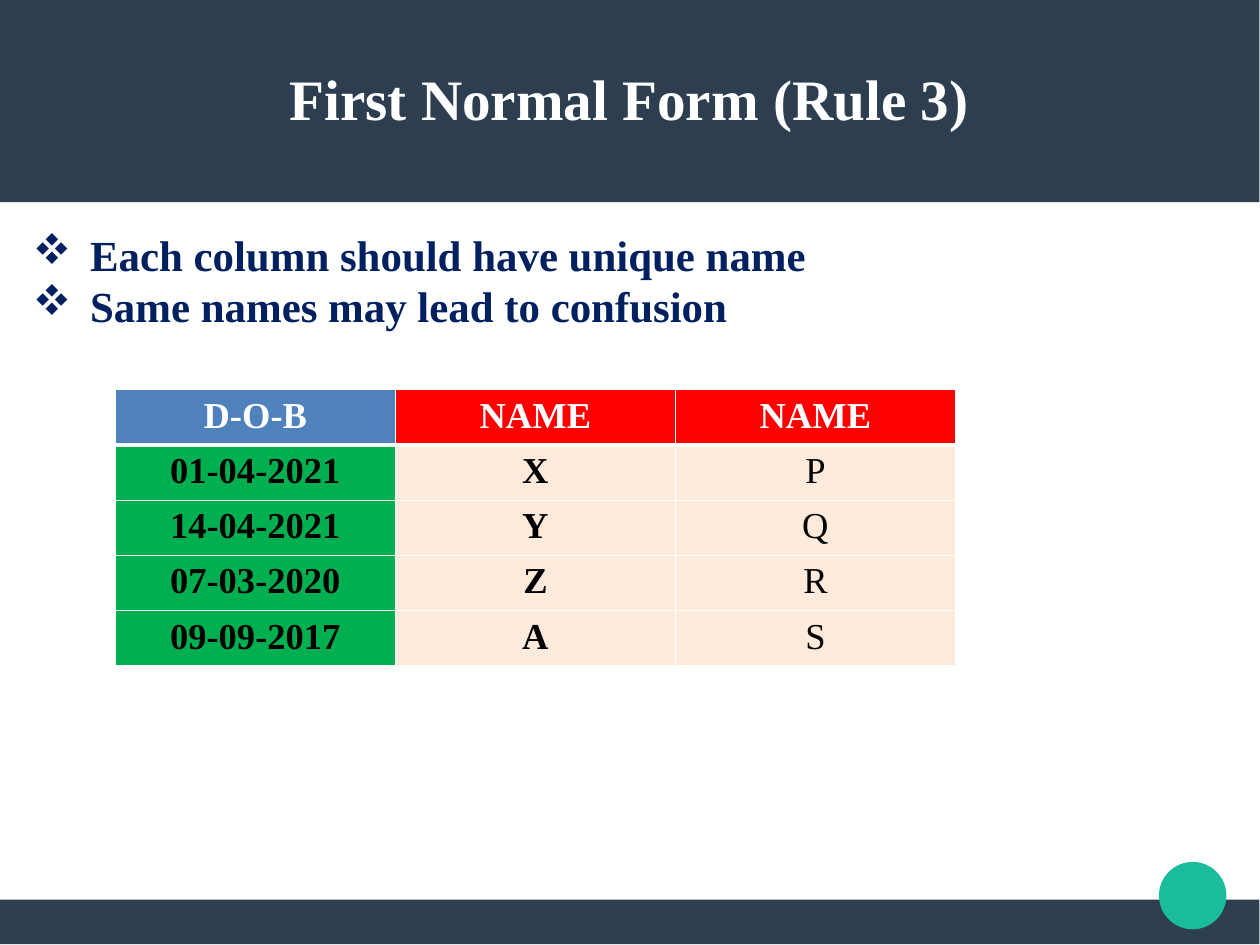
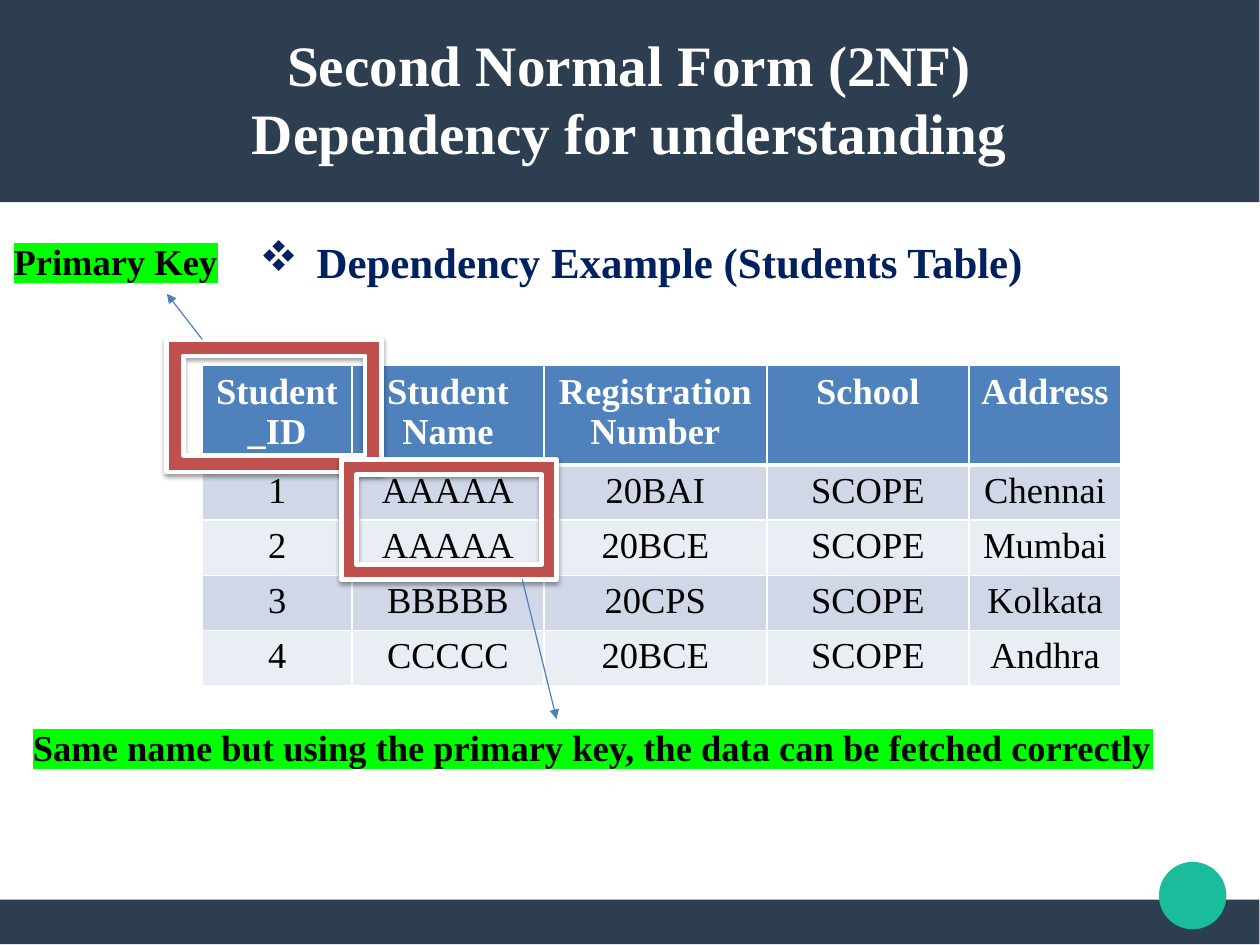
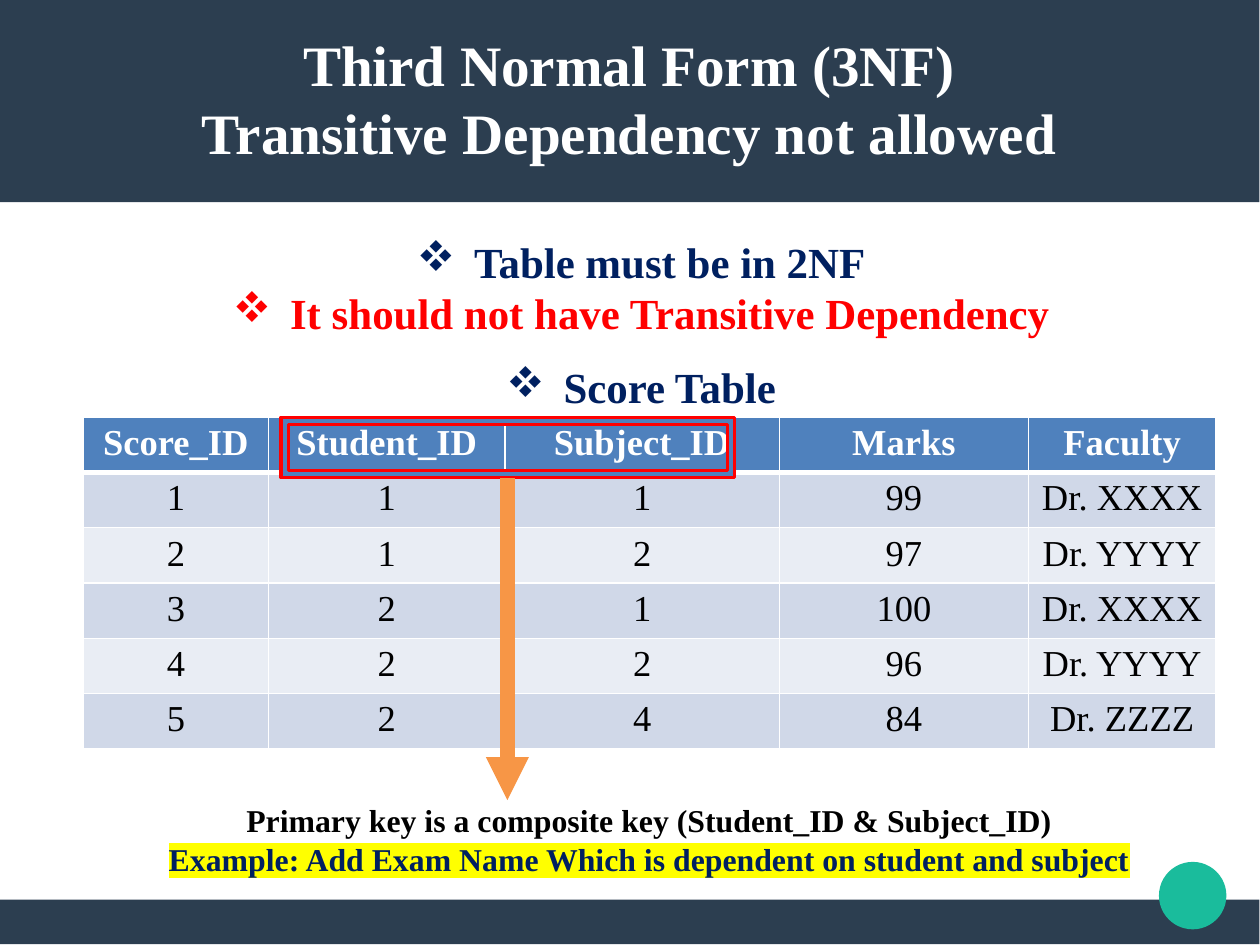
from lxml import etree
from pptx import Presentation
from pptx.dml.color import RGBColor
from pptx.enum import shapes, text
from pptx.oxml import ns
from pptx.util import Inches, Pt

FONT = "Times New Roman"
SLATE = RGBColor(0x2C, 0x3E, 0x50)
TEAL = RGBColor(0x1A, 0xBC, 0x9C)
WHITE = RGBColor(0xFF, 0xFF, 0xFF)
BLACK = RGBColor(0x00, 0x00, 0x00)
NAVY = RGBColor(0x00, 0x20, 0x60)
RED = RGBColor(0xFF, 0x00, 0x00)
BRICK = RGBColor(0xC0, 0x50, 0x4D)
BLUE = RGBColor(0x4F, 0x81, 0xBD)
LINE_BLUE = RGBColor(0x4B, 0x7E, 0xBC)
BAND_DARK = RGBColor(0xD0, 0xD8, 0xE8)
BAND_LIGHT = RGBColor(0xE9, 0xED, 0xF4)
GREEN = RGBColor(0x00, 0xB0, 0x50)
PEACH = RGBColor(0xFD, 0xEA, 0xDA)
ORANGE = RGBColor(0xF7, 0x96, 0x46)
LIME = RGBColor(0x00, 0xFF, 0x00)
YELLOW = RGBColor(0xFF, 0xFF, 0x00)

PAGE_WIDTH, PAGE_HEIGHT = Pt(793.75), Pt(595.25)
BAND_WIDTH = 11.02
ROW = 0.48
CENTER, JUSTIFY = text.PP_ALIGN.CENTER, text.PP_ALIGN.JUSTIFY
KIND = shapes.MSO_SHAPE


def add_xml(parent, tag, **attributes):
    return etree.SubElement(parent, ns.qn(tag), attributes)


def style_font(font, size, color, bold=True):
    font.name = FONT
    font.size = Pt(size)
    font.bold = bold
    font.color.rgb = color


def add_block(page, kind, area, fill, line=None, line_width=1):
    block = page.shapes.add_shape(kind, *map(Inches, area))
    block.shadow.inherit = False
    block.fill.solid()
    block.fill.fore_color.rgb = fill
    if line is None:
        block.line.fill.background()
    else:
        block.line.color.rgb = line
        block.line.width = Pt(line_width)
    return block


def add_text(page, area, lines, size, color, align=CENTER, bullet=False, highlight=None):
    """Each line is plain text, or (text, color, highlight)."""
    box = page.shapes.add_textbox(*map(Inches, area))
    frame = box.text_frame
    frame.word_wrap = True
    for index, line in enumerate(lines):
        words, ink, marker = (line, color, highlight) if isinstance(line, str) else line
        para = frame.paragraphs[0] if index == 0 else frame.add_paragraph()
        para.alignment = align
        span = para.add_run()
        span.text = words
        if bullet:
            props = para._p.get_or_add_pPr()
            props.set("marL", str(Inches(0.5)))
            props.set("indent", str(-Inches(0.5)))
            # In Wingdings the letter v is the ❖ sign
            add_xml(props, "a:buFont", typeface="Wingdings", charset="2")
            add_xml(props, "a:buChar", char="v")
        style_font(para.font, size, ink)
        if marker is not None:
            mark = add_xml(span._r.get_or_add_rPr(), "a:highlight")
            add_xml(mark, "a:srgbClr", val=str(marker))
    return frame


def add_bullets(page, area, lines, align=CENTER):
    add_text(page, area, lines, 27, NAVY, align, bullet=True)


def add_page(deck, *title_lines):
    """Page with the shared bands, dot and title."""
    page = deck.slides.add_slide(deck.slide_layouts[6])
    add_block(page, KIND.RECTANGLE, (0, 7.87, BAND_WIDTH, 0.39), SLATE)
    add_block(page, KIND.RECTANGLE, (0, 0, BAND_WIDTH, 1.77), SLATE)
    add_block(page, KIND.OVAL, (10.14, 7.54, 0.59, 0.59), TEAL)
    title = add_text(page, (0.39, 0.33, 10.23, 1.05), title_lines, 36, WHITE)
    title.vertical_anchor = text.MSO_ANCHOR.MIDDLE
    title.margin_left = title.margin_top = title.margin_right = title.margin_bottom = 0
    return page


def add_borders(cell, top, bottom):
    props = cell._tc.get_or_add_tcPr()
    for side, width in (("L", 1), ("R", 1), ("T", top), ("B", bottom)):
        border = add_xml(props, f"a:ln{side}", w=str(Pt(width)))
        add_xml(add_xml(border, "a:solidFill"), "a:srgbClr", val=str(WHITE))


def banded(row, column):
    """Fill and boldness of a cell in a striped table."""
    if row == 0:
        return BLUE, True
    return (BAND_DARK if row % 2 else BAND_LIGHT), False


def date_table(row, column):
    """Fill and boldness of a cell in the table with repeated names."""
    if row == 0:
        return (RED if column else BLUE), True
    return (PEACH if column else GREEN), column < 2


def add_grid(page, left, top, columns, rows, look=banded, header=ROW):
    heights = [header] + [ROW] * (len(rows) - 1)
    area = (left, top, sum(columns), sum(heights))
    table = page.shapes.add_table(len(rows), len(columns), *map(Inches, area)).table
    for column, width in zip(table.columns, columns):
        column.width = Inches(width)
    for row, height in zip(table.rows, heights):
        row.height = Inches(height)
    for r, values in enumerate(rows):
        for c, value in enumerate(values):
            cell = table.cell(r, c)
            fill, bold = look(r, c)
            add_borders(cell, 3 if r == 1 else 1, 3 if r == 0 else 1)
            cell.fill.solid()
            cell.fill.fore_color.rgb = fill
            cell.text = value
            para = cell.text_frame.paragraphs[0]
            para.alignment = CENTER
            # Run fonts win over the header style of the table
            style_font(para.runs[0].font, 23, BLACK if r else WHITE, bold)


def add_arrow(page, start, end, color, width):
    arrow = page.shapes.add_connector(
        shapes.MSO_CONNECTOR.STRAIGHT, *map(Inches, start + end))
    arrow.line.color.rgb = color
    arrow.line.width = Pt(width)
    props = arrow._element.spPr
    add_xml(props.find(ns.qn("a:ln")), "a:tailEnd", type="triangle")
    add_xml(props, "a:effectLst")


def add_raised_frame(page, area):
    frame = add_block(page, KIND.FRAME, area, BRICK, WHITE, 3)
    effects = frame._element.spPr.find(ns.qn("a:effectLst"))
    shadow = add_xml(effects, "a:outerShdw", blurRad=str(Pt(3.1)), dist=str(Pt(1.6)),
                     dir="5400000", rotWithShape="0")
    add_xml(add_xml(shadow, "a:srgbClr", val=str(BLACK)), "a:alpha", val="38000")


def first_form(deck):
    page = add_page(deck, "First Normal Form (Rule 3)")
    add_bullets(page, (0.19, 1.95, 10.44, 1.01), [
        "Each column should have unique name",
        "Same names may lead to confusion"], JUSTIFY)
    add_grid(page, 1.01, 3.41, [2.45] * 3, [
        ("D-O-B", "NAME", "NAME"),
        ("01-04-2021", "X", "P"),
        ("14-04-2021", "Y", "Q"),
        ("07-03-2020", "Z", "R"),
        ("09-09-2017", "A", "S")], date_table)


def second_form(deck):
    page = add_page(deck, "Second Normal Form (2NF)", "Dependency for understanding")
    add_bullets(page, (0.39, 2.01, 10.44, 0.56), ["Dependency Example (Students Table)"])
    add_grid(page, 1.77, 3.2, [1.31, 1.68, 1.95, 1.77, 1.33], [
        ("Student_ID", "Student Name", "Registration Number", "School", "Address"),
        ("1", "AAAAA", "20BAI", "SCOPE", "Chennai"),
        ("2", "AAAAA", "20BCE", "SCOPE", "Mumbai"),
        ("3", "BBBBB", "20CPS", "SCOPE", "Kolkata"),
        ("4", "CCCCC", "20BCE", "SCOPE", "Andhra")], header=0.86)

    # Framed cells, each with an arrow to its remark
    add_raised_frame(page, (1.46, 2.97, 1.88, 1.16))
    add_arrow(page, (1.77, 2.97), (1.46, 2.57), LINE_BLUE, 0.75)
    add_raised_frame(page, (2.99, 4.02, 1.88, 1.05))
    add_arrow(page, (4.57, 5.07), (4.87, 6.29), LINE_BLUE, 0.75)
    for area, remark in (
            ((0.02, 2.04, 2.15, 0.49), "Primary Key"),
            ((0.19, 6.29, 10.23, 0.49),
             "Same name but using the primary key, the data can be fetched correctly")):
        add_text(page, area, [remark], 23, BLACK, JUSTIFY, highlight=LIME)


def third_form(deck):
    page = add_page(deck, "Third Normal Form (3NF)", "Transitive Dependency not allowed")
    add_bullets(page, (0.39, 2.01, 10.44, 1.01), [
        "Table must be in 2NF",
        ("It should not have Transitive Dependency", RED, None)])
    add_bullets(page, (0.39, 3.11, 10.44, 0.56), ["Score Table"])
    add_grid(page, 0.73, 3.65, [1.62, 2.07, 2.4, 2.18, 1.64], [
        ("Score_ID", "Student_ID", "Subject_ID", "Marks", "Faculty"),
        ("1", "1", "1", "99", "Dr. XXXX"),
        ("2", "1", "2", "97", "Dr. YYYY"),
        ("3", "2", "1", "100", "Dr. XXXX"),
        ("4", "2", "2", "96", "Dr. YYYY"),
        ("5", "2", "4", "84", "Dr. ZZZZ")])

    # Composite key and its remark
    add_block(page, KIND.FRAME, (2.46, 3.65, 3.97, 0.53), BLUE, RED, 2)
    add_arrow(page, (4.44, 4.18), (4.44, 7), ORANGE, 9)
    add_text(page, (0.17, 6.96, 11.02, 0.77), [
        "Primary key is a composite key (Student_ID & Subject_ID)",
        ("Example: Add Exam Name Which is dependent on student and subject", NAVY, YELLOW),
    ], 20, BLACK)


def main():
    deck = Presentation()
    deck.slide_width, deck.slide_height = PAGE_WIDTH, PAGE_HEIGHT
    for build in (first_form, second_form, third_form):
        build(deck)
    deck.save("out.pptx")


if __name__ == "__main__":
    main()
